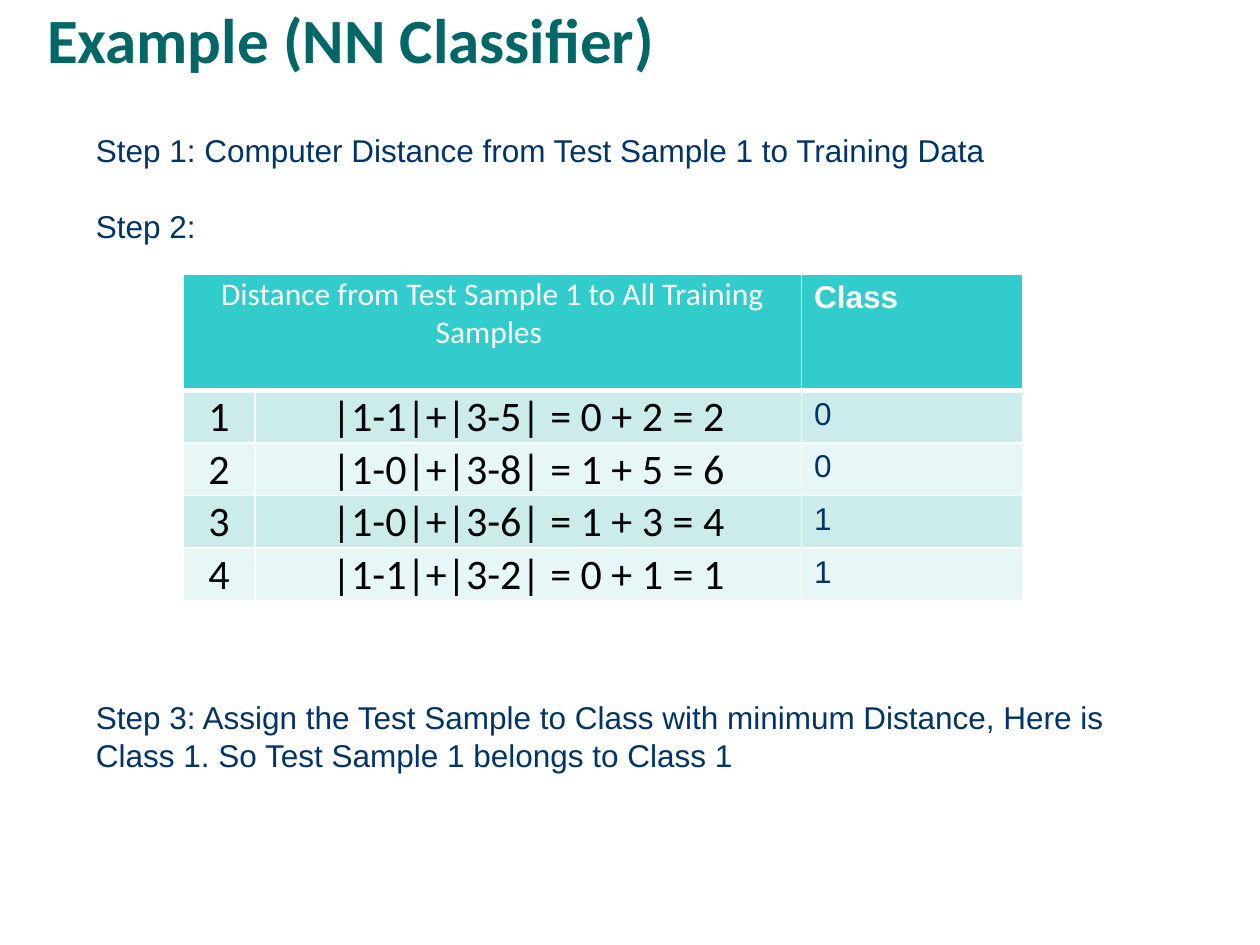
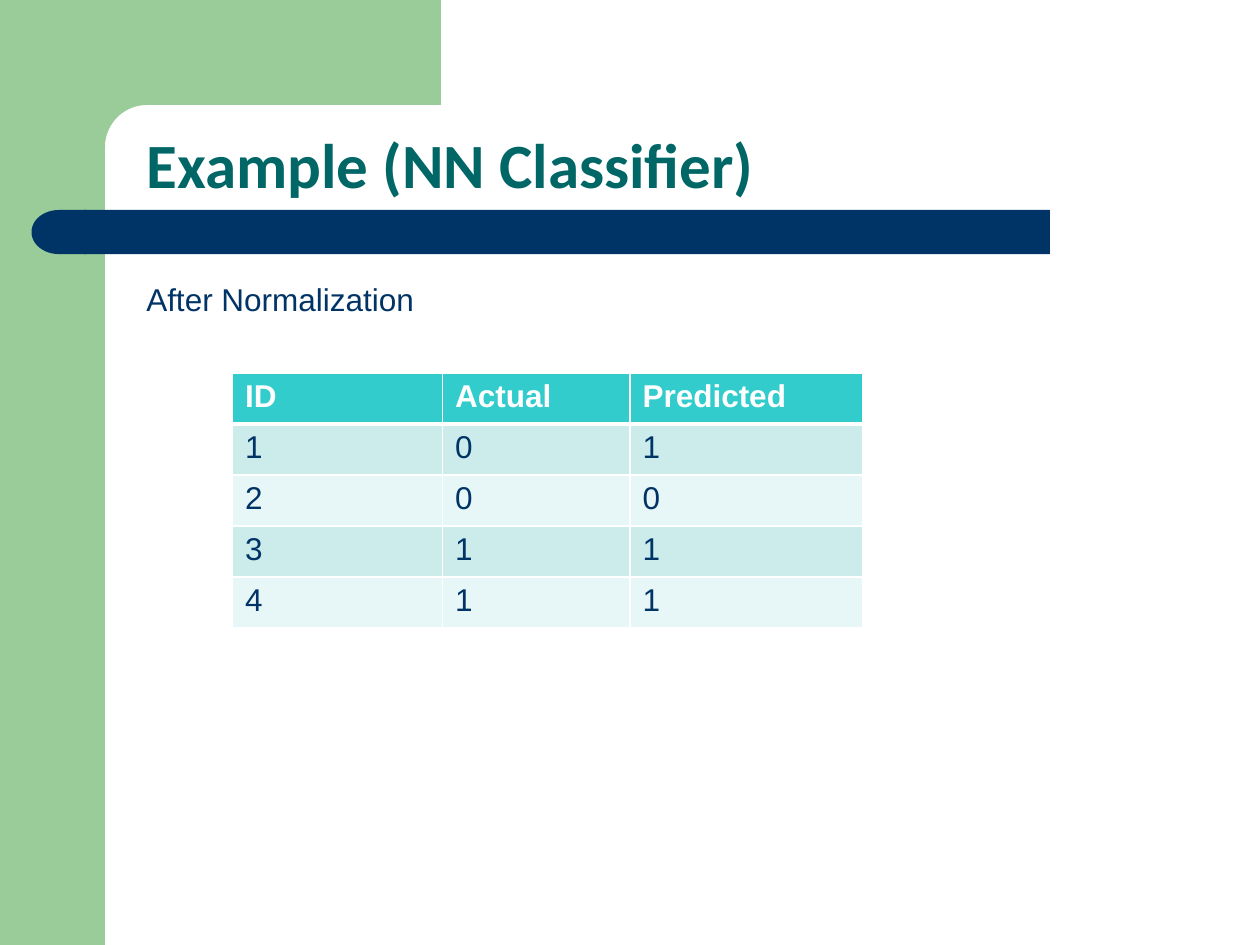
import math

from lxml import etree
from pptx import Presentation
from pptx.dml.color import RGBColor
from pptx.enum.shapes import MSO_SHAPE
from pptx.enum.text import MSO_ANCHOR, PP_ALIGN
from pptx.oxml.ns import qn
from pptx.util import Inches, Pt

RECT, DELAY = MSO_SHAPE.RECTANGLE, MSO_SHAPE.FLOWCHART_DELAY
ROUNDED = MSO_SHAPE.ROUNDED_RECTANGLE
TOP, BOTTOM = MSO_ANCHOR.TOP, MSO_ANCHOR.BOTTOM
LEFT, CENTER = PP_ALIGN.LEFT, PP_ALIGN.CENTER

COLORS = {"title": "006666", "text": "003366", "band": "003366", "green": "99CC99",
          "head": "33CCCC", "odd": "CCECEC", "even": "E7F6F6",
          "white": "FFFFFF", "black": "000000"}
TITLE = "Example (NN Classifier)"
LINE = 21.6  # body line height in points


def u(n):
    """Length of n cells on a grid of 120 columns by 90 rows."""
    return Inches(n / 12)


def rgb(name):
    return RGBColor.from_string(COLORS[name])


def style(p, size, color, font="Arial", bold=False, align=LEFT):
    f = p.font
    f.size, f.name, f.bold = Pt(size), font, bold
    f.color.rgb = rgb(color)
    p.alignment = align


def paint(sp, color):
    sp.shadow.inherit = False
    sp.fill.solid()
    sp.fill.fore_color.rgb = rgb(color)
    sp.line.fill.background()
    return sp


def add_title(s, x, y):
    """Title in an unfilled rounded rectangle."""
    sp = s.shapes.add_shape(ROUNDED, u(x), u(y), u(104), u(7.95))
    sp.adjustments[0] = 0.22
    sp.shadow.inherit = False
    sp.fill.background()
    sp.line.fill.background()
    tf = sp.text_frame
    tf.word_wrap = True
    tf.vertical_anchor = BOTTOM
    tf.text = TITLE
    # The text area of a rounded rectangle is inset by its corners
    tf.margin_left = tf.margin_right = Inches(0.06)
    tf.margin_top = tf.margin_bottom = Inches(0.01)
    p = tf.paragraphs[0]
    style(p, 36, "title", "Calibri", True)
    p.line_spacing = 0.9


def add_body(s, x, y, w, h, lines, gaps):
    """Body text, with gaps counted in blank lines before each paragraph."""
    tf = s.shapes.add_textbox(u(x), u(y), u(w), u(h)).text_frame
    tf.word_wrap = True
    tf.text = "\n".join(lines)
    for p, gap in zip(tf.paragraphs, gaps):
        style(p, 18, "text")
        p.line_spacing = Pt(LINE)
        p.space_before = Pt(gap * LINE)


def set_borders(cell, bottom):
    tc_pr = cell._tc.get_or_add_tcPr()
    widths = {"lnL": 1, "lnR": 1, "lnT": 1, "lnB": bottom}
    for i, (tag, width) in enumerate(widths.items()):
        ln = etree.Element(qn(f"a:{tag}"), w=str(Pt(width)))
        fill = etree.SubElement(ln, qn("a:solidFill"))
        etree.SubElement(fill, qn("a:srgbClr"), val=COLORS["white"])
        tc_pr.insert(i, ln)


def add_table(s, x, y, cols, head_h, row_h, rows, formula_cols=0):
    """Banded table; the first formula_cols columns are centred in Calibri."""
    height = head_h + row_h * (len(rows) - 1)
    frame = s.shapes.add_table(len(rows), len(cols), u(x), u(y), u(sum(cols)), u(height))
    table = frame.table
    for col, w in zip(table.columns, cols):
        col.width = u(w)
    for i, row in enumerate(rows):
        table.rows[i].height = u(row_h if i else head_h)
        for j, value in enumerate(row):
            cell = table.cell(i, j)
            cell.text = value
            cell.fill.solid()
            cell.fill.fore_color.rgb = rgb(("odd" if i % 2 else "even") if i else "head")
            set_borders(cell, 1 if i else 3)
            p = cell.text_frame.paragraphs[0]
            if j < formula_cols:
                cell.margin_left = cell.margin_right = cell.margin_top = Inches(0.01)
                cell.margin_bottom = 0
                cell.vertical_anchor = BOTTOM if i else TOP
                style(p, 24 if i else 18, "black" if i else "white", "Calibri", align=CENTER)
            else:
                style(p, 18, "text" if i else "white", bold=not i)
    return table


def add_frame(s):
    """Green side panel with rounded inner corner, and the navy title band."""
    side, right, radius = 10, 42, 4
    paint(s.shapes.add_shape(RECT, 0, 0, u(side), u(90)), "green")
    arc = [(side + radius * (1 - math.sin(a)), side + radius * (1 - math.cos(a)))
           for a in (math.pi / 2 * k / 12 for k in range(13))]
    outline = [(right, 0), (right, side), *arc, (side, 15.4), (6, 15.4), (6, 0)]
    points = [(u(x), u(y)) for x, y in outline]
    fb = s.shapes.build_freeform(*points[0])
    fb.add_line_segments(points[1:], close=True)
    paint(fb.convert_to_shape(), "green")
    # Title band and its rounded left end
    paint(s.shapes.add_shape(RECT, u(8), u(20), u(92), u(4.2)), "band")
    cap = paint(s.shapes.add_shape(DELAY, u(3), u(20), u(5.2), u(4.2)), "band")
    cap._element.spPr.xfrm.set("flipH", "1")


def distance_slide(s, x, y):
    add_title(s, x, y)
    add_body(s, x + 4.7, y + 11.9, 104, 66.6,
             ["Step 1: Computer Distance from Test Sample 1 to Training Data",
              "Step 2:",
              "Step 3: Assign the Test Sample to Class with minimum Distance, "
              "Here is Class 1. So Test Sample 1 belongs to Class 1"],
             [0, 1, 12])
    rows = [["Distance from Test Sample 1 to All Training Samples ", "", "Class"],
            ["1", "|1-1|+|3-5| = 0 + 2 = 2", "0"],
            ["2", "|1-0|+|3-8| = 1 + 5 = 6", "0"],
            ["3", "|1-0|+|3-6| = 1 + 3 = 4", "1"],
            ["4", "|1-1|+|3-2| = 0 + 1 = 1", "1"]]
    table = add_table(s, x + 14.2, y + 26.1, [6.84, 52.05, 21.1], 11.08, 5.01, rows, 2)
    table.cell(0, 0).merge(table.cell(0, 1))


def result_slide(s, x, y):
    add_frame(s)
    add_title(s, x, y)
    rows = [["ID", "Actual", "Predicted"],
            ["1", "0", "1"], ["2", "0", "0"], ["3", "1", "1"], ["4", "1", "1"]]
    add_table(s, x + 9.4, y + 23.62, [20, 17.85, 22.2], 4.87, 4.86, rows)
    add_body(s, x, y + 14.2, 56.8, 4.8, ["After Normalization"], [0])


def main():
    prs = Presentation()
    prs.slide_width, prs.slide_height = u(120), u(90)
    blank = prs.slide_layouts[6]
    distance_slide(prs.slides.add_slide(blank), 3.25, 0)
    result_slide(prs.slides.add_slide(blank), 12.75, 11.9)
    prs.save("out.pptx")


if __name__ == "__main__":
    main()
